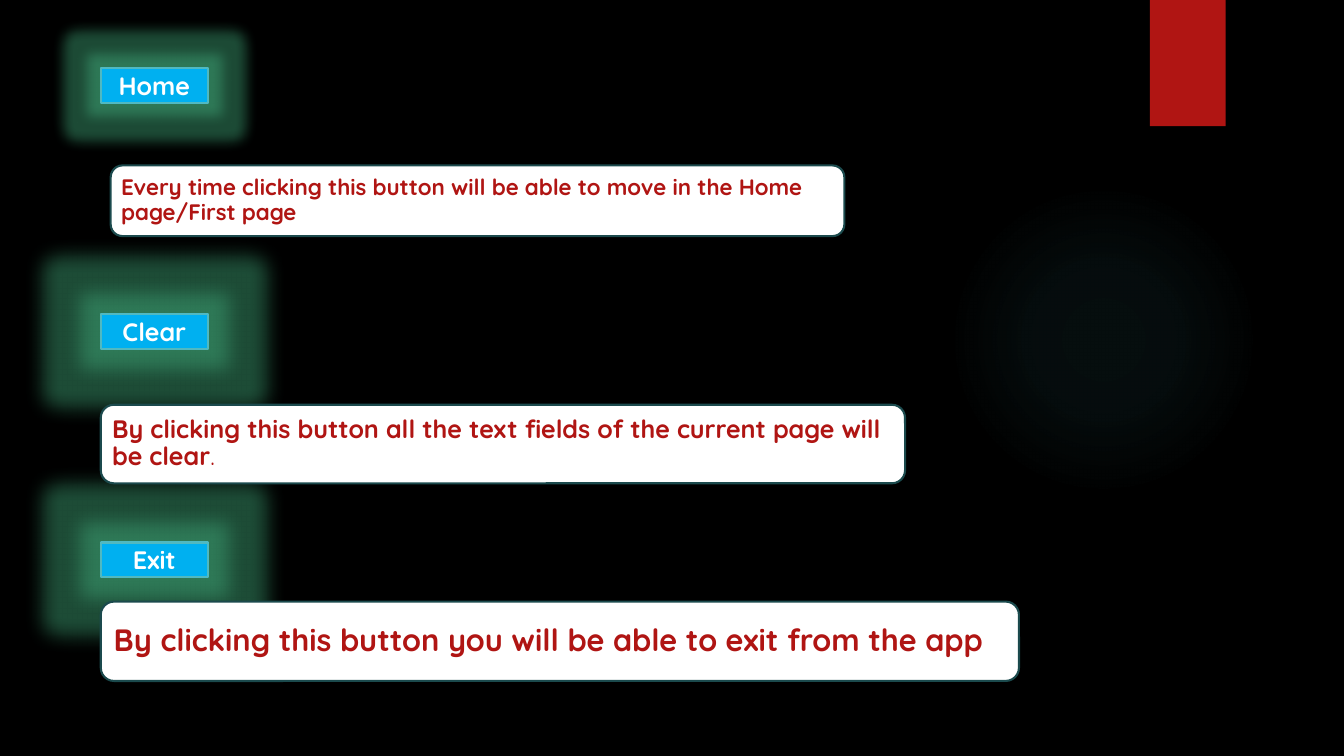
"""Builds a slide that explains the Home, Clear and Exit buttons of an app."""
import pptx
import pptx.util
import pptx.dml.color
import pptx.enum.shapes
import pptx.enum.text
from lxml import etree

Cm, Pt = pptx.util.Cm, pptx.util.Pt
SHAPE = pptx.enum.shapes.MSO_SHAPE
ALIGN = pptx.enum.text.PP_ALIGN
DRAWING = "http://schemas.openxmlformats.org/drawingml/2006/main"
FONT = "Quicksand"
RED, WHITE, TEAL = "B01513", "FFFFFF", "50B9C1"
BUTTON_LEFT, BUTTON_WIDTH, BUTTON_HEIGHT = 2.54, 2.7, 0.87
HALO = (23.9, 4.65, 7.82, 7.82)
HALO_STOPS = [(0, 7), (36, 6), (69, 0)]
RIBBON = (28.98, 0, 1.91, 3.18)

BUTTONS = [
    {"label": "Home", "top": 1.72, "glow": 18, "card": (2.79, 4.17, 18.49, 1.78),
     "size": 16, "inset": 0.18,
     "runs": [("Every time clicking this button will be able to move in the "
               "Home page/First page", True)]},
    {"label": "Clear", "top": 7.92, "glow": 28, "card": (2.54, 10.2, 20.27, 1.98),
     "size": 18, "inset": 0.19,
     "runs": [("By clicking this button all the text fields of the current "
               "page will be clear", True), (".", False)]},
    {"label": "Exit", "top": 13.67, "glow": 28, "card": (2.54, 15.16, 23.14, 2.0),
     "size": 22, "inset": 0.23,
     "runs": [("By clicking this button you will be able to exit from the app", True)]},
]


def rgb(value):
    return pptx.dml.color.RGBColor.from_string(value)


def add_panel(slide, preset, box, fill, outline=None):
    panel = slide.shapes.add_shape(preset, *(Cm(length) for length in box))
    panel.shadow.inherit = False
    panel.fill.solid()
    panel.fill.fore_color.rgb = rgb(fill)
    if outline:
        panel.line.color.rgb = rgb(outline)
        panel.line.width = Pt(1.5)
    else:
        panel.line.fill.background()
    return panel


def write(panel, runs, size, color, align, inset, spacing):
    frame = panel.text_frame
    margins = dict.fromkeys(
        ("margin_left", "margin_right", "margin_top", "margin_bottom"), Cm(inset))
    settings = {"word_wrap": True,
                "vertical_anchor": pptx.enum.text.MSO_ANCHOR.MIDDLE, **margins}
    for name, value in settings.items():
        setattr(frame, name, value)
    paragraph = frame.paragraphs[0]
    paragraph.alignment = align
    paragraph.line_spacing = spacing
    for text, bold in runs:
        run = paragraph.add_run()
        run.text = text
        for name, value in {"name": FONT, "size": Pt(size), "bold": bold}.items():
            setattr(run.font, name, value)
        run.font.color.rgb = rgb(color)


def add_glow(button, radius):
    effects = button._element.spPr.find(f"{{{DRAWING}}}effectLst")
    effects.append(etree.fromstring(
        f'<a:glow xmlns:a="{DRAWING}" rad="{Pt(radius)}"><a:srgbClr val="49BE89">'
        '<a:alpha val="40000"/></a:srgbClr></a:glow>'))


def add_halo(slide):
    halo = add_panel(slide, SHAPE.OVAL, HALO, TEAL)
    stops = "".join(
        f'<a:gs pos="{position * 1000}"><a:srgbClr val="{TEAL}">'
        f'<a:alpha val="{alpha * 1000}"/></a:srgbClr></a:gs>'
        for position, alpha in HALO_STOPS)
    gradient = etree.fromstring(
        f'<a:gradFill xmlns:a="{DRAWING}"><a:gsLst>{stops}</a:gsLst><a:path path="circle">'
        '<a:fillToRect l="50000" t="50000" r="50000" b="50000"/></a:path></a:gradFill>')
    properties = halo._element.spPr
    properties.replace(properties.find(f"{{{DRAWING}}}solidFill"), gradient)


def main():
    deck = pptx.Presentation()
    deck.slide_width, deck.slide_height = Cm(33.87), Cm(19.05)
    slide = deck.slides.add_slide(deck.slide_layouts[6])
    slide.background.fill.solid()
    slide.background.fill.fore_color.rgb = rgb("000000")
    add_halo(slide)
    add_panel(slide, SHAPE.RECTANGLE, RIBBON, RED)
    for entry in BUTTONS:
        box = (BUTTON_LEFT, entry["top"], BUTTON_WIDTH, BUTTON_HEIGHT)
        button = add_panel(slide, SHAPE.RECTANGLE, box, "00B0F0", TEAL)
        add_glow(button, entry["glow"])
        write(button, [(entry["label"], True)], 18, WHITE, ALIGN.CENTER, 0.1, 1.0)
    for entry in BUTTONS:
        card = add_panel(slide, SHAPE.ROUNDED_RECTANGLE, entry["card"], WHITE, "1B4A4D")
        write(card, entry["runs"], entry["size"], RED, ALIGN.LEFT, entry["inset"], 0.9)
    deck.save("out.pptx")


if __name__ == "__main__":
    main()
